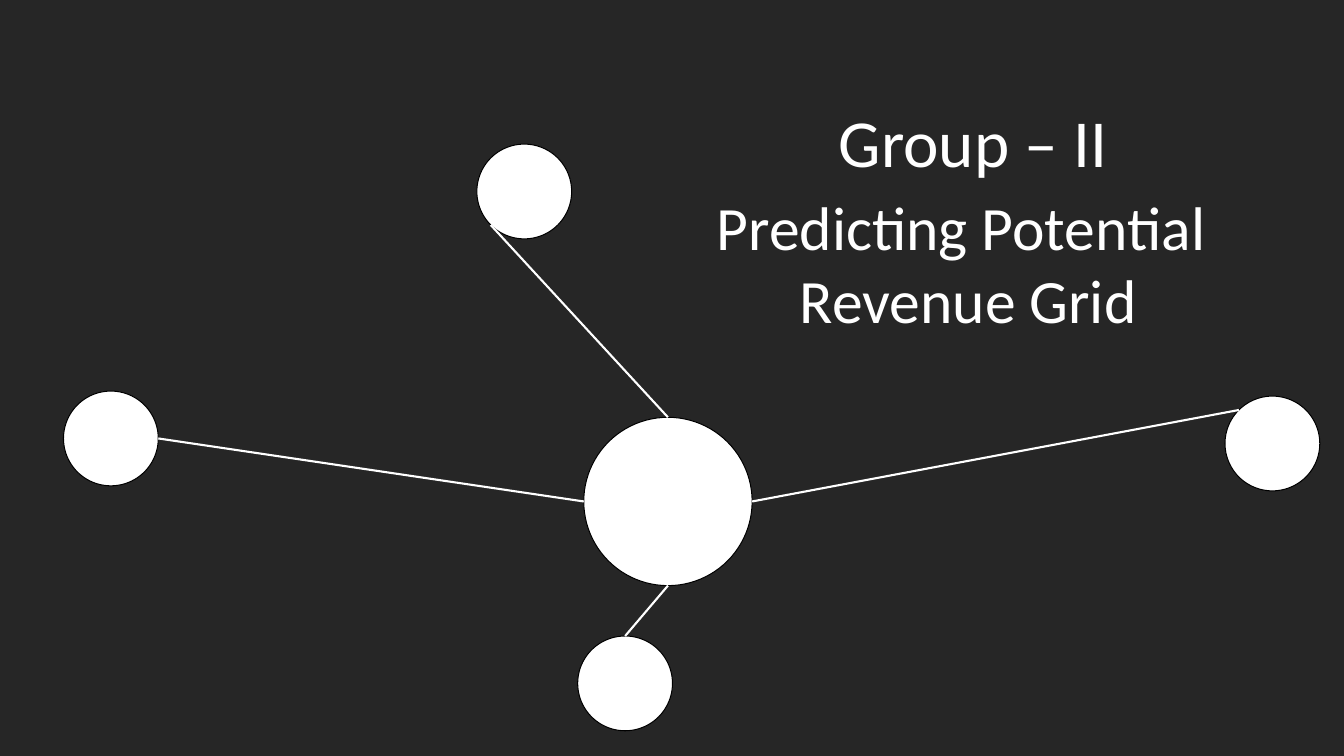
from math import cos, radians, sin

from pptx import Presentation
from pptx.dml.color import RGBColor
from pptx.enum.shapes import MSO_CONNECTOR, MSO_SHAPE
from pptx.enum.text import MSO_AUTO_SIZE, PP_ALIGN
from pptx.oxml.ns import qn
from pptx.util import Inches, Pt
from lxml import etree

DARK = RGBColor(0x26, 0x26, 0x26)
WHITE = RGBColor(0xFF, 0xFF, 0xFF)
BLACK = RGBColor(0x00, 0x00, 0x00)

NODE_SIZE = 0.94
HUB = (5.79, 4.14, 1.67)  # left, top, diameter


def add_circle(left, top, size):
    sp = s.shapes.add_shape(MSO_SHAPE.OVAL, Inches(left), Inches(top),
                            Inches(size), Inches(size))
    sp.shadow.inherit = False
    sp.fill.solid()
    sp.fill.fore_color.rgb = WHITE
    sp.line.color.rgb = BLACK
    sp.line.width = Pt(0.75)


def rim_point(left, top, size, angle):
    """Point on a circle's rim; degrees run clockwise from the right."""
    radius = size / 2
    return (Inches(left + radius * (1 + cos(radians(angle)))),
            Inches(top + radius * (1 + sin(radians(angle)))))


prs = Presentation()
prs.slide_width, prs.slide_height = Inches(13.33), Inches(7.5)
s = prs.slides.add_slide(prs.slide_layouts[6])
s.background.fill.solid()
s.background.fill.fore_color.rgb = DARK

# Circles: left, top, link angle on the node, link angle on the hub
nodes = [
    (0.63, 3.88, 0, 180),
    (5.73, 6.31, 270, 90),
    (4.73, 1.43, 135, 270),
    (12.15, 3.93, 225, 0),
]
for left, top, _, _ in nodes:
    add_circle(left, top, NODE_SIZE)
add_circle(*HUB)

# Links from each node to the hub
for left, top, node_angle, hub_angle in nodes:
    start = rim_point(left, top, NODE_SIZE, node_angle)
    end = rim_point(*HUB, hub_angle)
    link = s.shapes.add_connector(MSO_CONNECTOR.STRAIGHT, *start, *end)
    link.line.color.rgb = WHITE
    link.line.width = Pt(1.5)
    etree.SubElement(link._element.spPr, qn("a:effectLst"))

# Titles
titles = [
    ("Group – II", 8.22, 0.95, 3.05, 0.91, 48, PP_ALIGN.LEFT),
    ("Predicting Potential\n Revenue Grid", 6.98, 1.82, 5.11, 1.58, 44, PP_ALIGN.CENTER),
]
for text, left, top, width, height, size, align in titles:
    box = s.shapes.add_textbox(Inches(left), Inches(top), Inches(width), Inches(height))
    tf = box.text_frame
    tf.word_wrap = False
    tf.auto_size = MSO_AUTO_SIZE.SHAPE_TO_FIT_TEXT
    p = tf.paragraphs[0]
    p.text = text
    p.alignment = align
    for r in p.runs:
        r.font.name = "Calibri"
        r.font.size = Pt(size)
        r.font.color.rgb = WHITE

prs.save("out.pptx")
